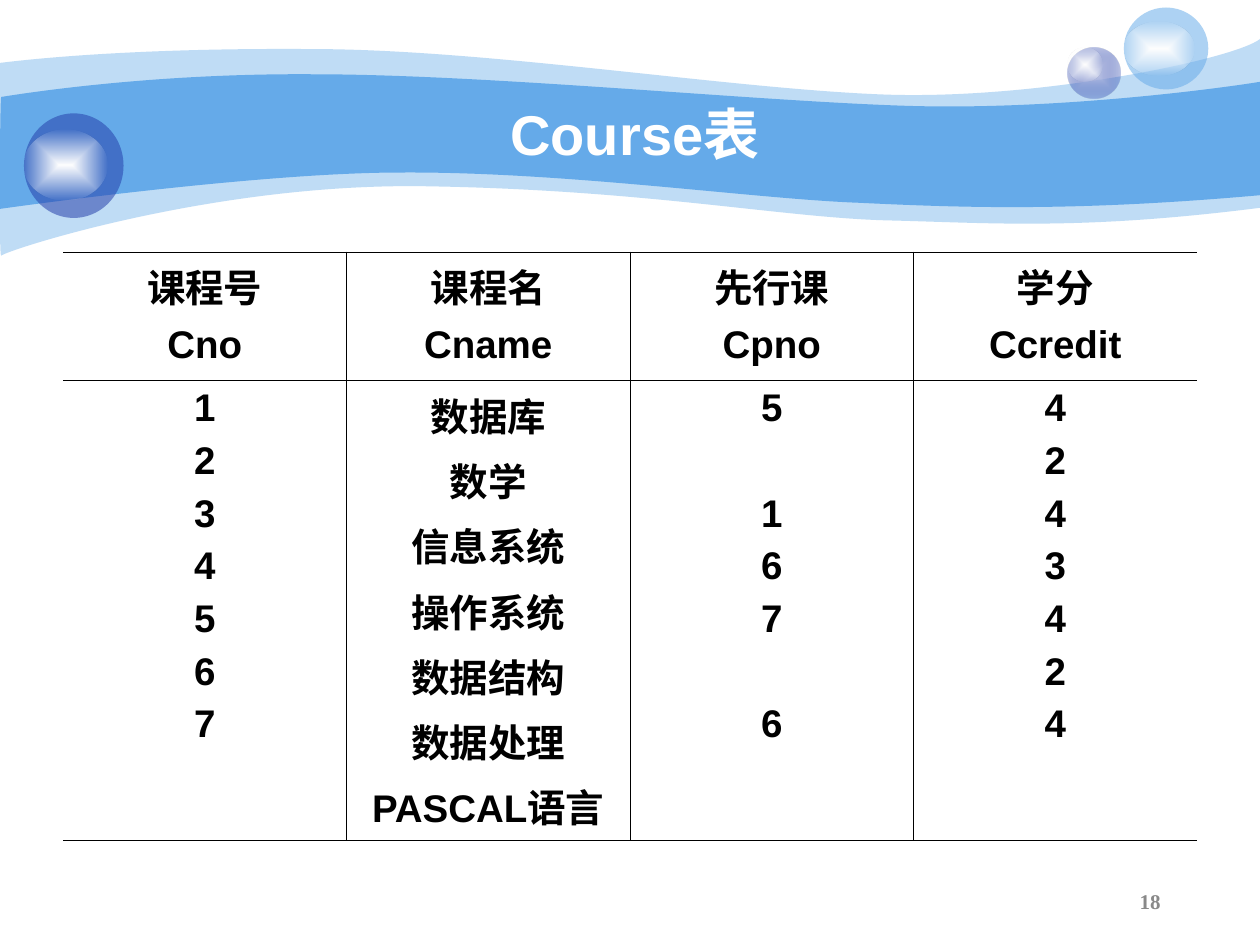
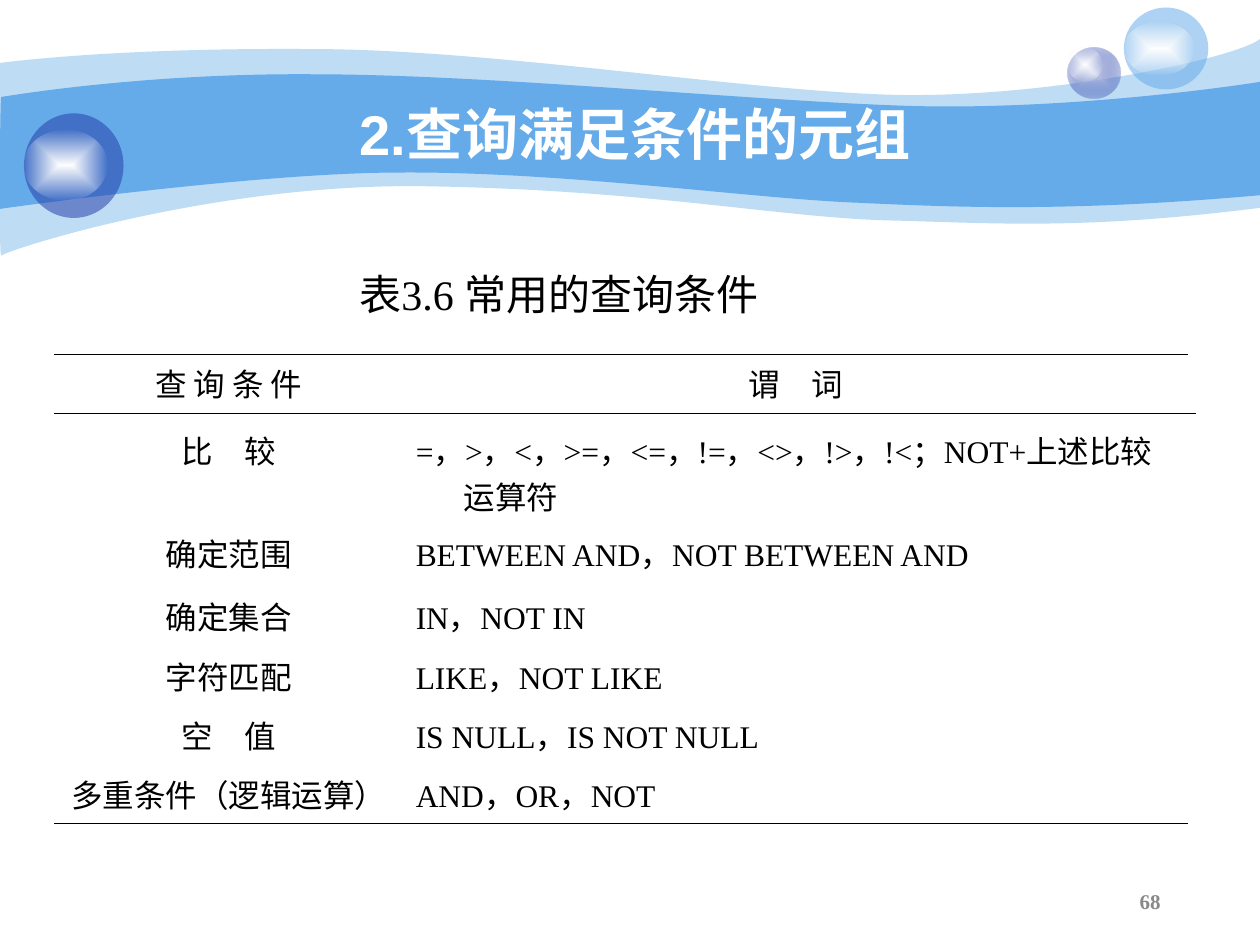
"""Build two database course slides that share a wave banner, title style and page number."""
from dataclasses import dataclass

from pptx import Presentation
from pptx import util as u
from pptx.dml.color import RGBColor
from pptx.enum import shapes, text
from pptx.oxml import ns, parse_xml

BLUE, NAVY, LILAC = "65AAE9", "233DA9", "C7CEE9"
WHITE, BLACK, GREY = "FFFFFF", "000000", "898989"
SANS, SERIF = "Arial", "Times New Roman"
LEFT, CENTER, RIGHT = text.PP_ALIGN.LEFT, text.PP_ALIGN.CENTER, text.PP_ALIGN.RIGHT
HANGING = 0.38
BORDER = 0.45
PARA_GAP, EMPTY_LINE = 5.5, 30.1


@dataclass(frozen=True)
class Style:
    size: float
    font: str
    color: str
    bold: bool = False


@dataclass(frozen=True)
class Stop:
    color: str
    alpha: int = 100


@dataclass(frozen=True)
class Wave:
    start: tuple
    segments: list
    fill: Stop


@dataclass(frozen=True)
class Ball:
    box: tuple
    stops: tuple


TITLE = Style(32, SANS, WHITE, True)
COURSE = Style(22, SANS, BLACK, True)
QUERY = Style(18, SERIF, BLACK)
CAPTION = Style(24, SERIF, BLACK)
PAGE = Style(12, SERIF, GREY, True)

WAVES = [
    Wave((0, 0.5),
         [(0.24, 0.47, 1.07, 0.38, 2.47, 0.39), (3.86, 0.39, 5.75, 0.7, 6.99, 0.75),
          (8.22, 0.8, 9.8, 0.47, 10, 0.31), (10, 1.65),
          (8.58, 1.83, 7.87, 1.77, 7.05, 1.75), (6.22, 1.73, 5.15, 1.51, 3.43, 1.48),
          (1.72, 1.44, 0.04, 1.99, 0.01, 2.03), (-0.01, 2.08, 0, 0.75, 0, 0.5)],
         Stop(BLUE, 41)),
    Wave((0.01, 0.77),
         [(0.02, 0.77, 1.1, 0.58, 2.48, 0.59), (3.86, 0.59, 5.95, 0.8, 7.18, 0.84),
          (8.41, 0.88, 9.76, 0.69, 10, 0.65), (10, 1.55),
          (8.53, 1.68, 7.65, 1.65, 6.82, 1.61), (5.99, 1.58, 4.47, 1.36, 3.17, 1.37),
          (2.03, 1.37, -0.02, 1.66, -0.01, 1.66), (0, 1.66, 0, 0.77, 0.01, 0.77)],
         Stop(BLUE)),
]
GLOSS = (Stop(WHITE), Stop(WHITE, 0))
BALLS = [
    Ball((8.47, 0.38, 0.42, 0.4), (Stop(LILAC), Stop(NAVY, 31))),
    Ball((8.47, 0.38, 0.28, 0.27), GLOSS),
    Ball((8.92, 0.06, 0.67, 0.65), (Stop(BLUE, 53),)),
    Ball((8.92, 0.17, 0.56, 0.43), GLOSS),
    Ball((0.19, 0.9, 0.79, 0.83), (Stop(NAVY, 53),)),
    Ball((0.19, 1.03, 0.66, 0.56), GLOSS),
]

COURSE_ROWS = [
    [["课程号", "Cno"], ["课程名", "Cname"], ["先行课", "Cpno"], ["学分", "Ccredit"]],
    [list("1234567"),
     ["数据库", "数学", "信息系统", "操作系统", "数据结构", "数据处理", "PASCAL语言"],
     ["5", "", "1", "6", "7", "", "6"],
     list("4243424")],
]
QUERY_ROWS = [
    ("查 询 条 件", "谓　词"),
    ("比　较", "=，>，<，>=，<=，!=，<>，!>，!<；NOT+上述比较运算符"),
    ("确定范围", "BETWEEN AND，NOT BETWEEN AND"),
    ("确定集合", "IN，NOT IN"),
    ("字符匹配", "LIKE，NOT LIKE"),
    ("空　值", "IS NULL，IS NOT NULL"),
    ("多重条件（逻辑运算）", "AND，OR，NOT"),
]


def rgb(color: str) -> RGBColor:
    """Turn a hex string into a colour."""
    return RGBColor.from_string(color)


def inches(*values: float) -> list:
    """Turn numbers into lengths."""
    return [u.Inches(v) for v in values]


def add_run(p, words: str, style: Style) -> None:
    """Add one styled run to a paragraph."""
    r = p.add_run()
    r.text = words
    r.font.size, r.font.name, r.font.bold = u.Pt(style.size), style.font, style.bold
    r.font.color.rgb = rgb(style.color)


def hang(p) -> None:
    """Give a paragraph a hanging indent."""
    pPr = p._p.get_or_add_pPr()
    pPr.set("marL", str(u.Inches(HANGING)))
    pPr.set("indent", str(-u.Inches(HANGING)))


def color_xml(stop: Stop) -> str:
    """Write a colour with its opacity as XML."""
    return f'<a:srgbClr val="{stop.color}"><a:alpha val="{stop.alpha * 1000}"/></a:srgbClr>'


def paint(sp, stops: tuple) -> None:
    """Fill a shape with one colour or a gradient from its centre, without outline or shadow."""
    sp.shadow.inherit = False
    sp.line.fill.background()
    sp.fill.background()
    if len(stops) == 1:
        xml = f'<a:solidFill {ns.nsdecls("a")}>{color_xml(stops[0])}</a:solidFill>'
    else:
        marks = "".join(f'<a:gs pos="{i * 100000}">{color_xml(stop)}</a:gs>'
                        for i, stop in enumerate(stops))
        xml = (f'<a:gradFill {ns.nsdecls("a")} rotWithShape="1"><a:gsLst>{marks}</a:gsLst>'
               '<a:path path="rect"><a:fillToRect l="50000" t="50000" r="50000" b="50000"/>'
               '</a:path></a:gradFill>')
    spPr = sp._element.spPr
    spPr.replace(spPr.find(ns.qn("a:noFill")), parse_xml(xml))


def add_wave(s, wave: Wave) -> None:
    """Draw one band of the banner, joining each three-point segment into a curve."""
    outline = s.shapes.build_freeform(*inches(*wave.start))
    for segment in wave.segments:
        points = [inches(*pair) for pair in zip(segment[::2], segment[1::2])]
        outline.add_line_segments(points, close=segment is wave.segments[-1])
    sp = outline.convert_to_shape()
    steps = iter(list(sp._element.iter(ns.qn("a:lnTo"))))
    for segment in wave.segments:
        group = [next(steps) for _ in segment[::2]]
        if len(group) == 3:
            curve = parse_xml(f'<a:cubicBezTo {ns.nsdecls("a")}/>')
            group[0].addprevious(curve)
            for step in group:
                curve.append(step[0])
                step.getparent().remove(step)
    paint(sp, (wave.fill,))


def add_label(s, box: tuple, words: str, style: Style, align):
    """Add a one-line text box and return its shape."""
    sp = s.shapes.add_textbox(*inches(*box))
    p = sp.text_frame.paragraphs[0]
    p.alignment = align
    add_run(p, words, style)
    return sp


def add_base(prs, title: str, page: str):
    """Add a slide with banner, balls, title and page number."""
    s = prs.slides.add_slide(prs.slide_layouts[5])
    for wave in WAVES:
        add_wave(s, wave)
    for ball in BALLS:
        paint(s.shapes.add_shape(shapes.MSO_SHAPE.OVAL, *inches(*ball.box)), ball.stops)
    sp = s.shapes.title
    s.shapes._spTree.append(sp._element)
    sp.left, sp.top, sp.width, sp.height = inches(1, 0.75, 8.08, 0.62)
    tf = sp.text_frame
    tf.vertical_anchor = text.MSO_ANCHOR.MIDDLE
    tf.paragraphs[0].alignment = CENTER
    add_run(tf.paragraphs[0], title, TITLE)
    number = add_label(s, (7.06, 6.95, 2.25, 0.4), page, PAGE, RIGHT).text_frame
    number.word_wrap = True
    number.vertical_anchor = text.MSO_ANCHOR.MIDDLE
    return s


def add_grid(s, left: float, top: float, widths: list, heights: list):
    """Add a plain table with the given column widths and row heights."""
    frame = s.shapes.add_table(len(heights), len(widths),
                               *inches(left, top, sum(widths), sum(heights)))
    table = frame.table
    table.first_row = table.horz_banding = False
    for column, width in zip(table.columns, widths):
        column.width = u.Inches(width)
    for row, height in zip(table.rows, heights):
        row.height = u.Inches(height)
    return table


def set_borders(cell, sides: str) -> None:
    """Clear the cell fill and rule only the named sides out of L, R, T and B."""
    cell.fill.background()
    tcPr = cell._tc.get_or_add_tcPr()
    for i, side in enumerate("LRTB"):
        fill = f"<a:solidFill>{color_xml(Stop(BLACK))}</a:solidFill>" if side in sides else "<a:noFill/>"
        tcPr.insert(i, parse_xml(f'<a:ln{side} {ns.nsdecls("a")} w="{u.Pt(BORDER)}">{fill}</a:ln{side}>'))


def fill_lines(tf, lines: list) -> None:
    """Write centred lines, with an empty line made as space before the next one."""
    gap = 0
    for i, line in enumerate(lines):
        if not line:
            gap += EMPTY_LINE
            continue
        p = tf.add_paragraph() if i else tf.paragraphs[0]
        p.alignment = CENTER
        if i:
            p.space_before = u.Pt(PARA_GAP + gap)
        add_run(p, line, COURSE)
        gap = 0


def build_course(prs) -> None:
    """Build the course table slide."""
    s = add_base(prs, "Course表", "18")
    table = add_grid(s, 0.5, 2, [2.25] * 4, [1.02, 3.65])
    for i, row in enumerate(COURSE_ROWS):
        for j, lines in enumerate(row):
            cell = table.cell(i, j)
            set_borders(cell, "TB" + "L" * (j > 0) + "R" * (j < len(row) - 1))
            fill_lines(cell.text_frame, lines)


def build_query(prs) -> None:
    """Build the query condition slide."""
    s = add_base(prs, "2.查询满足条件的元组", "68")
    table = add_grid(s, 0.43, 2.81, [2.77, 6.23], [0.53, 0.82, 0.5] + [0.47] * 4)
    last = len(QUERY_ROWS) - 1
    for i, row in enumerate(QUERY_ROWS):
        for j, words in enumerate(row):
            cell = table.cell(i, j)
            set_borders(cell, "T" * (i == 0) + "B" * (i == last))
            p = cell.text_frame.paragraphs[0]
            p.alignment = LEFT if i and j else CENTER
            hang(p)
            add_run(p, words, QUERY)
    rule = s.shapes.add_connector(shapes.MSO_CONNECTOR.STRAIGHT, *inches(0.43, 3.28, 9.49, 3.28))
    rule.line.color.rgb, rule.line.width = rgb(BLACK), u.Pt(0.75)
    rule._element.spPr.append(parse_xml(f'<a:effectLst {ns.nsdecls("a")}/>'))
    caption = add_label(s, (2.3, 2.08, 4.27, 0.5), "表3.6 常用的查询条件", CAPTION, CENTER).text_frame
    caption.word_wrap = False
    caption.auto_size = text.MSO_AUTO_SIZE.SHAPE_TO_FIT_TEXT
    hang(caption.paragraphs[0])


def main() -> None:
    """Build and save the presentation."""
    prs = Presentation()
    prs.slide_width, prs.slide_height = inches(10, 7.5)
    build_course(prs)
    build_query(prs)
    prs.save("out.pptx")


if __name__ == "__main__":
    main()
